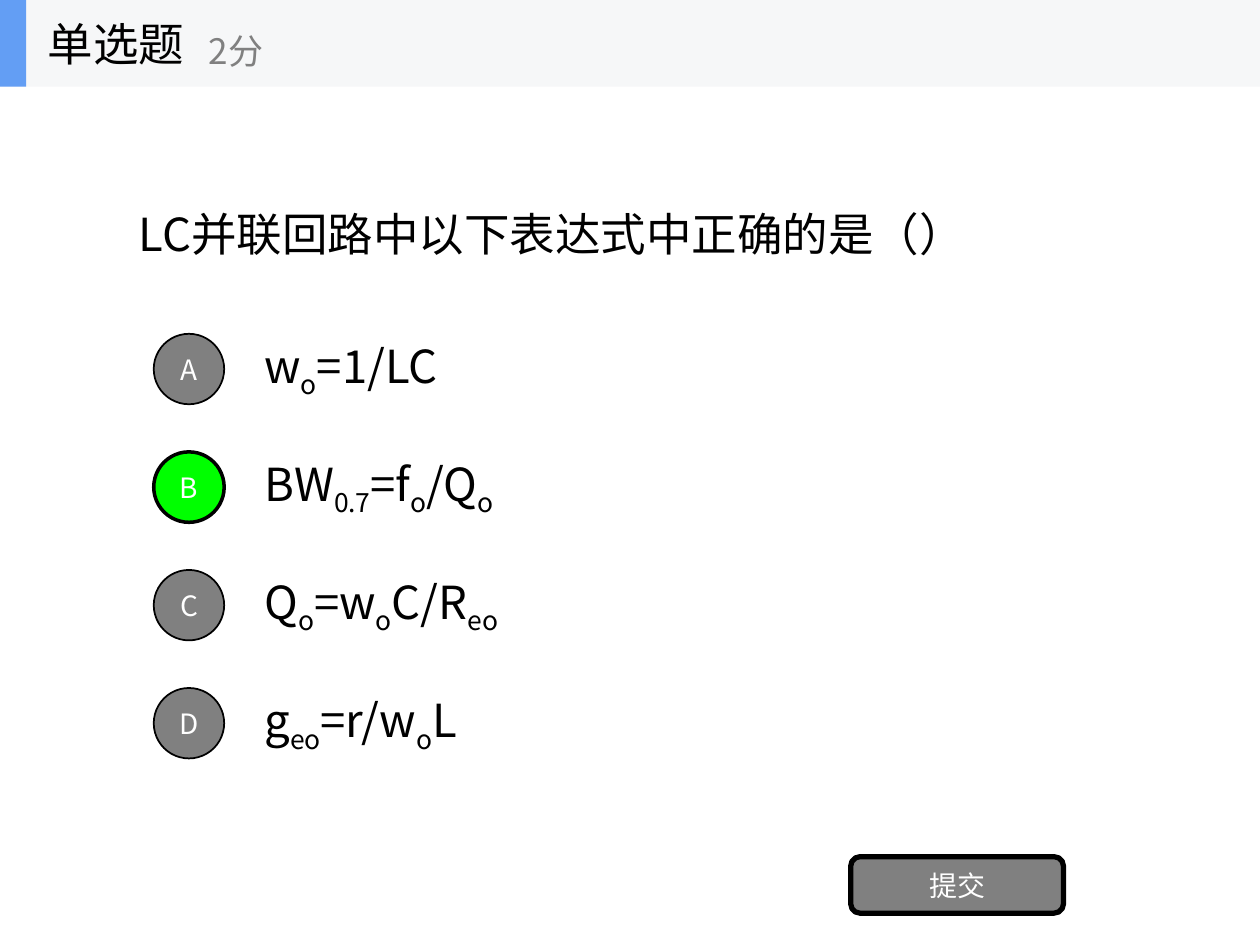
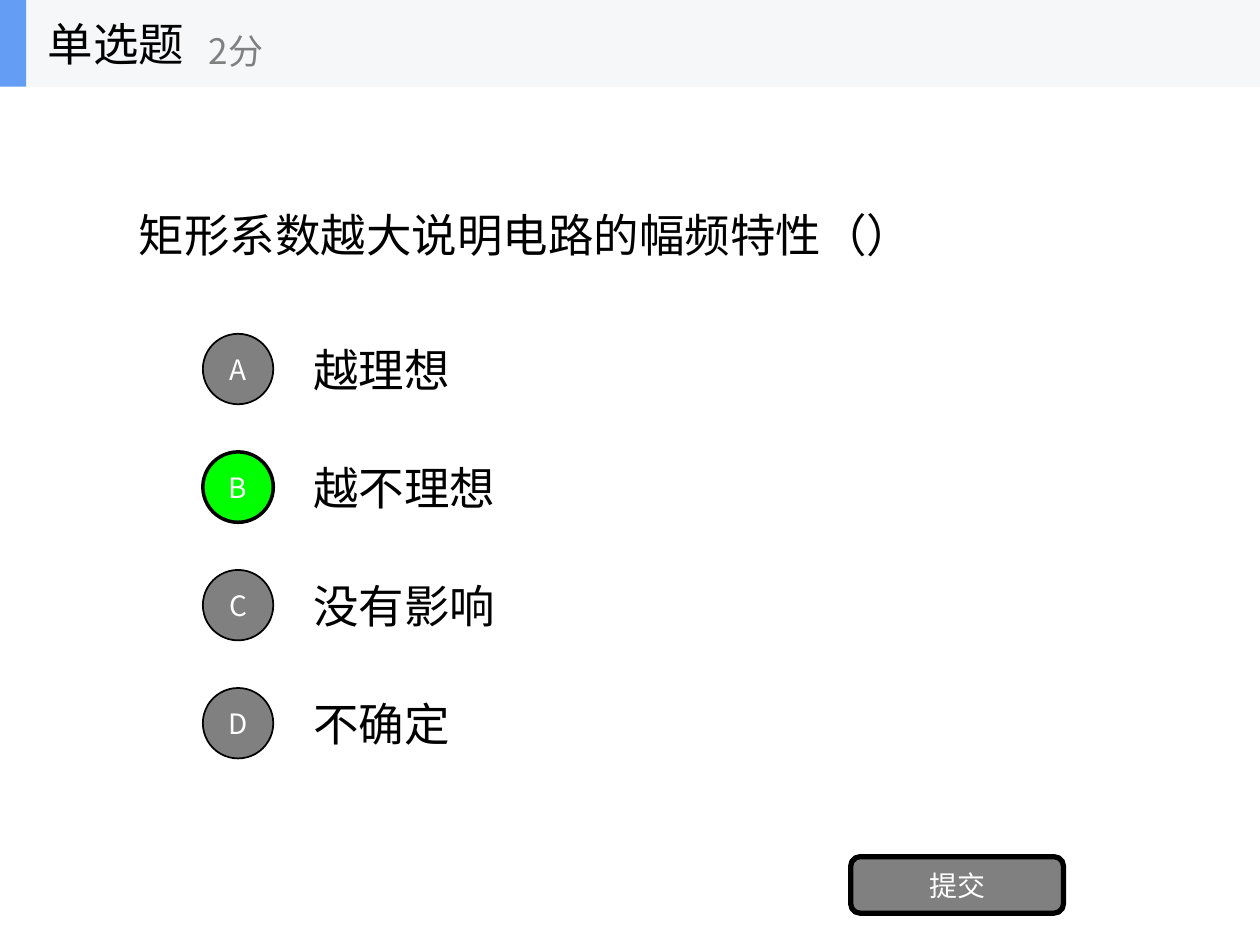
"""Build two single-choice quiz slides with a shared header, options and submit button."""
from lxml.etree import SubElement
from pptx import Presentation
from pptx.dml.color import RGBColor
from pptx.enum.shapes import MSO_SHAPE
from pptx.enum.text import MSO_ANCHOR, MSO_AUTO_SIZE, PP_ALIGN
from pptx.oxml.ns import qn
from pptx.util import Cm, Pt

QUIZ = [
    {"question": "LC并联回路中以下表达式中正确的是（）", "answer": "B", "left": 3.1, "top": 1.73,
     "options": ["w|o|=1/LC", "BW|0.7|=f|o|/Q|o", "Q|o|=w|o|C/R|eo", "g|eo|=r/w|o|L"]},
    {"question": "矩形系数越大说明电路的幅频特性（）", "answer": "B", "left": 4.09, "top": 1.75,
     "options": ["越理想", "越不理想", "没有影响", "不确定"]},
]
KIND, POINTS, SUBMIT = "单选题", "2分", "提交"

FONT = "Noto Sans CJK SC"
BLACK, WHITE, GREY, GREEN = "000000", "FFFFFF", "808080", "00FF00"
BAND, ACCENT = "F6F7F8", "639EF4"

WIDTH, HEIGHT = 25.4, 19.05
BAND_H = 1.75
ROW_TOP, ROW_H, ROW_STEP = 6.55, 1.78, 2.38
DOT, DOT_TO_TEXT = 1.42, 1.98


def rgb(value):
    return RGBColor.from_string(value)


def write(shape, text, size, color, align=PP_ALIGN.LEFT):
    """Fill a shape with one paragraph; every second part between bars is subscript."""
    tf = shape.text_frame
    tf.word_wrap = True
    tf.auto_size = MSO_AUTO_SIZE.NONE
    tf.vertical_anchor = MSO_ANCHOR.MIDDLE
    p = tf.paragraphs[0]
    p.alignment = align
    for i, part in enumerate(text.split("|")):
        r = p.add_run()
        r.text = part
        r.font.size = Pt(size)
        r.font.color.rgb = rgb(color)
        r.font.name = FONT
        rPr = r._r.get_or_add_rPr()
        SubElement(rPr, qn("a:ea"), typeface=FONT)
        if i % 2:
            rPr.set("baseline", "-25000")


def add_text(shapes, box, text, size, color=BLACK):
    write(shapes.add_textbox(*map(Cm, box)), text, size, color)


def add_block(shapes, kind, box, fill, line=0):
    """Add a filled shape, outlined in black when a line width is given."""
    sp = shapes.add_shape(kind, *map(Cm, box))
    sp.shadow.inherit = False
    sp.fill.solid()
    sp.fill.fore_color.rgb = rgb(fill)
    if line:
        sp.line.color.rgb = rgb(BLACK)
        sp.line.width = Pt(line)
    else:
        sp.line.fill.background()
    return sp


def add_button(shapes, kind, box, text, fill, line):
    sp = add_block(shapes, kind, box, fill, line)
    tf = sp.text_frame
    tf.margin_left = tf.margin_right = tf.margin_top = tf.margin_bottom = 0
    write(sp, text, 16, WHITE, PP_ALIGN.CENTER)


def add_header(s):
    shapes = s.shapes.add_group_shape().shapes
    add_block(shapes, MSO_SHAPE.RECTANGLE, (0, 0, WIDTH, BAND_H), BAND)
    add_block(shapes, MSO_SHAPE.RECTANGLE, (0, 0, 0.53, BAND_H), ACCENT)
    add_text(shapes, (0.71, 0, 5.28, BAND_H), KIND, 26)
    add_text(shapes, (3.96, 0.3, 6.35, 1.42), POINTS, 20, GREY)


def add_question(s, quiz):
    title = s.shapes.title
    title.left, title.top, title.width, title.height = map(Cm, (2.54, quiz["top"], 20.32, 5.94))
    write(title, quiz["question"], 26, BLACK)


def add_options(s, quiz):
    left = quiz["left"]
    for i, (letter, option) in enumerate(zip("ABCD", quiz["options"])):
        top = ROW_TOP + i * ROW_STEP
        fill, line = (GREEN, 2) if letter == quiz["answer"] else (GREY, 1)
        add_text(s.shapes, (left + DOT_TO_TEXT, top, 17.78, ROW_H), option, 26)
        add_button(s.shapes, MSO_SHAPE.OVAL, (left, top + (ROW_H - DOT) / 2, DOT, DOT),
                   letter, fill, line)


def main():
    prs = Presentation()
    prs.slide_width, prs.slide_height = Cm(WIDTH), Cm(HEIGHT)
    for quiz in QUIZ:
        s = prs.slides.add_slide(prs.slide_layouts.get_by_name("Title Only"))
        add_question(s, quiz)
        add_options(s, quiz)
        add_button(s.shapes, MSO_SHAPE.ROUNDED_RECTANGLE, (17.15, 17.27, 4.29, 1.14),
                   SUBMIT, GREY, 3)
        add_header(s)
    prs.save("out.pptx")


if __name__ == "__main__":
    main()
